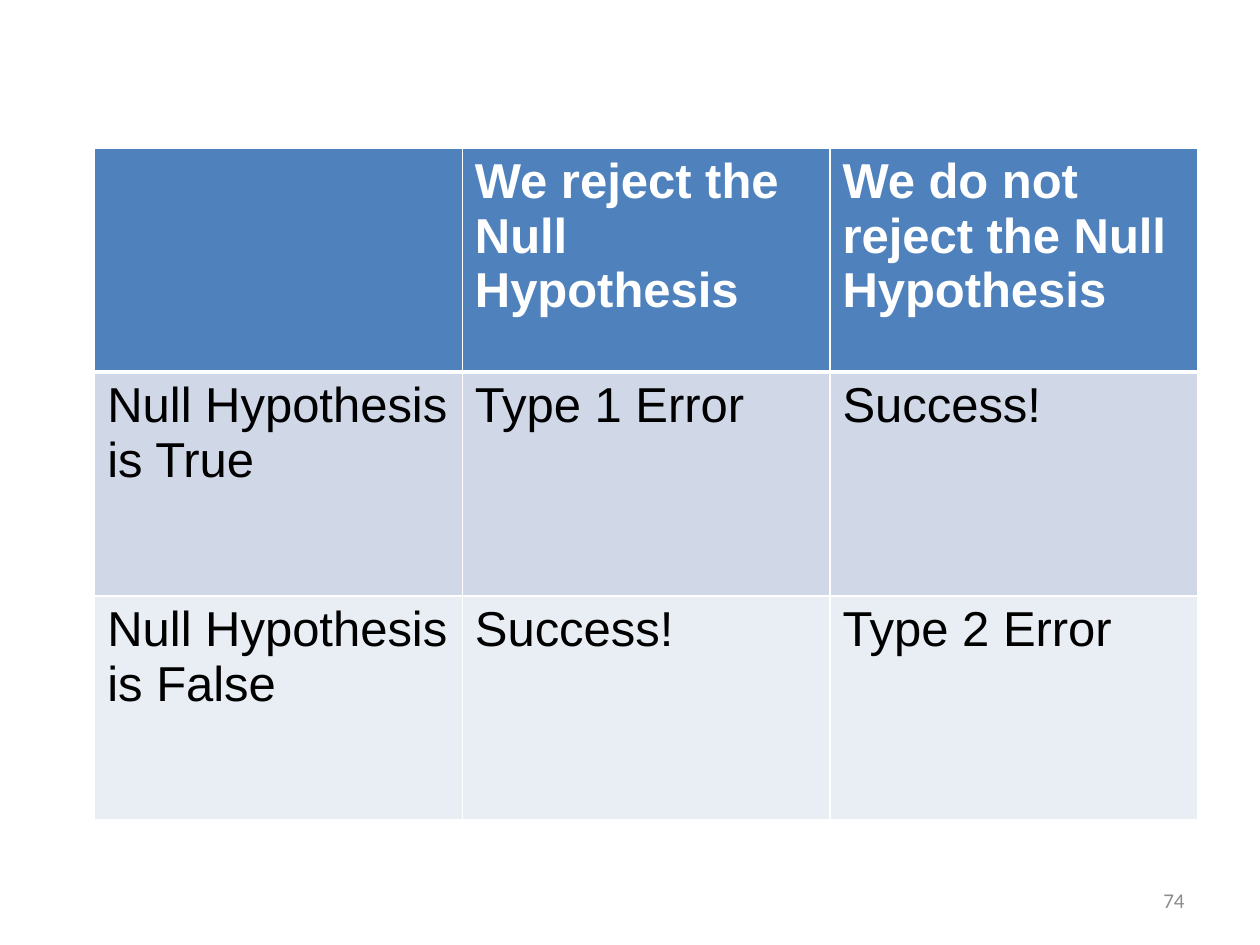
from lxml.etree import SubElement
from pptx import Presentation
from pptx.dml.color import RGBColor
from pptx.enum.text import MSO_ANCHOR as Anchor, PP_ALIGN as Align
from pptx.oxml.ns import qn
from pptx.util import Cm, Pt

OUTCOMES = [
    ["", "We reject the Null Hypothesis", "We do not reject the Null Hypothesis"],
    ["Null Hypothesis is True", "Type 1 Error", "Success!"],
    ["Null Hypothesis is False", "Success!", "Type 2 Error"],
]
ROW_FILLS = ["4F81BD", "D0D8E8", "E9EDF4"]
WHITE = "FFFFFF"


def color(value):
    return RGBColor.from_string(value)


def write(frame, text, size=28, font="Arial", fill="000000", bold=False, align=Align.LEFT):
    paragraph = frame.paragraphs[0]
    paragraph.alignment = align
    paragraph.font.size = Pt(size)
    if not text:
        return
    run = paragraph.add_run()
    run.text = text
    run.font.name = font
    run.font.size = Pt(size)
    run.font.bold = bold
    run.font.color.rgb = color(fill)


def add_borders(cell, top=1, bottom=1):
    properties = cell._tc.get_or_add_tcPr()
    for side, width in (("L", 1), ("R", 1), ("T", top), ("B", bottom)):
        border = SubElement(properties, qn(f"a:ln{side}"), w=str(Pt(width)))
        solid = SubElement(border, qn("a:solidFill"))
        SubElement(solid, qn("a:srgbClr"), val=WHITE)


def add_outcome_table(slide):
    grid = slide.shapes.add_table(
        len(OUTCOMES), len(OUTCOMES[0]), Cm(1.91), Cm(2.98), Cm(22.23), Cm(13.55)
    ).table
    for row, (labels, row_fill) in enumerate(zip(OUTCOMES, ROW_FILLS)):
        header = row == 0
        for column, label in enumerate(labels):
            cell = grid.cell(row, column)
            add_borders(cell, top=3 if row == 1 else 1, bottom=3 if header else 1)
            cell.fill.solid()
            cell.fill.fore_color.rgb = color(row_fill)
            write(cell.text_frame, label, fill=WHITE if header else "000000", bold=header)


def add_page_number(slide, number):
    frame = slide.shapes.add_textbox(Cm(18.2), Cm(17.65), Cm(5.93), Cm(1.01)).text_frame
    frame.word_wrap = True
    frame.vertical_anchor = Anchor.MIDDLE
    write(frame, number, size=12, font="Calibri", fill="8C8C8C", align=Align.RIGHT)


def main():
    deck = Presentation()
    deck.slide_width, deck.slide_height = Cm(25.4), Cm(19.05)
    slide = deck.slides.add_slide(deck.slide_layouts[6])
    add_page_number(slide, "74")
    add_outcome_table(slide)
    deck.save("out.pptx")


if __name__ == "__main__":
    main()
